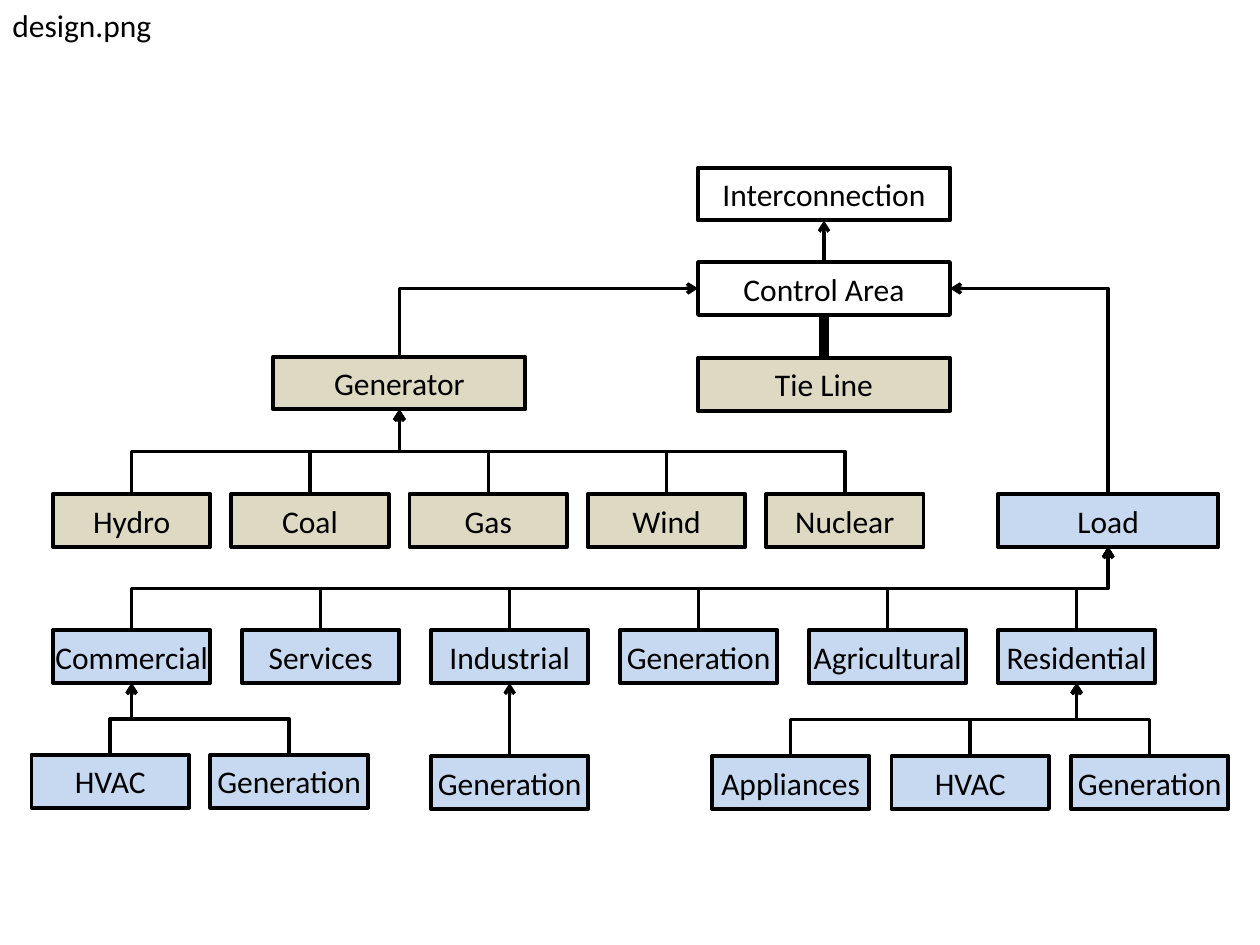
from lxml import etree
from pptx import Presentation
from pptx.dml.color import RGBColor
from pptx.enum.shapes import MSO_CONNECTOR, MSO_SHAPE
from pptx.enum.text import MSO_ANCHOR, MSO_AUTO_SIZE, PP_ALIGN
from pptx.oxml.ns import qn
from pptx.util import Inches, Pt

RECTANGLE = MSO_SHAPE.RECTANGLE
STRAIGHT, ELBOW = MSO_CONNECTOR.STRAIGHT, MSO_CONNECTOR.ELBOW
MIDDLE, CENTER = MSO_ANCHOR.MIDDLE, PP_ALIGN.CENTER
FIT_SHAPE = MSO_AUTO_SIZE.SHAPE_TO_FIT_TEXT
TOP, LEFT, BOTTOM, RIGHT = range(4)

BLACK = RGBColor(0x00, 0x00, 0x00)
TAN = RGBColor(0xDD, 0xD9, 0xC3)
BLUE = RGBColor(0xC6, 0xD9, 0xF1)

deck = Presentation()
deck.slide_width, deck.slide_height = Inches(10), Inches(7.5)
page = deck.slides.add_slide(deck.slide_layouts[6])


def add_box(label, left, top, width, fill=None):
    box = page.shapes.add_shape(
        RECTANGLE, Inches(left), Inches(top), Inches(width), Inches(0.42))
    box.shadow.inherit = False
    if fill is None:
        box.fill.background()
    else:
        box.fill.solid()
        box.fill.fore_color.rgb = fill
    box.line.color.rgb = BLACK
    box.line.width = Pt(2.25)
    frame = box.text_frame
    frame.margin_left = frame.margin_right = 0
    frame.margin_top = frame.margin_bottom = 0
    frame.vertical_anchor = MIDDLE
    frame.word_wrap = False
    frame.text = label
    para = frame.paragraphs[0]
    para.alignment = CENTER
    font = para.runs[0].font
    font.name, font.size, font.color.rgb = "Calibri", Pt(18), BLACK
    return box


def link(child, parent, side=BOTTOM, width=2, arrow=True):
    start_x, start_y = child.left + child.width // 2, child.top
    if side == BOTTOM:
        end_x, end_y = parent.left + parent.width // 2, parent.top + parent.height
    else:
        end_x = parent.left + (parent.width if side == RIGHT else 0)
        end_y = parent.top + parent.height // 2
    straight = start_x == end_x
    line = page.shapes.add_connector(
        STRAIGHT if straight else ELBOW, start_x, start_y, end_x, end_y)
    line.begin_connect(child, TOP)
    line.end_connect(parent, side)
    line.line.color.rgb = BLACK
    line.line.width = Pt(width)
    properties = line._element.spPr
    if arrow:
        etree.SubElement(line.line._get_or_add_ln(), qn("a:tailEnd"), type="arrow")
    etree.SubElement(properties, qn("a:effectLst"))
    if straight:
        return
    run, rise = abs(end_x - start_x), start_y - end_y
    line.left = (start_x + end_x - rise) // 2
    line.top = (start_y + end_y - run) // 2
    line.width, line.height = rise, run
    rightward = end_x > start_x
    frame = properties.find(qn("a:xfrm"))
    frame.set("rot", "5400000" if rightward else "16200000")
    frame.set("flipH", "1" if rightward else "0")
    frame.set("flipV", "1")
    if side != BOTTOM:
        properties.find(qn("a:prstGeom")).set("prst", "bentConnector2")


caption = page.shapes.add_textbox(0, 0, Inches(1.32), Inches(0.4))
caption.text_frame.word_wrap = False
caption.text_frame.auto_size = FIT_SHAPE
caption.text_frame.text = "design.png"
caption_font = caption.text_frame.paragraphs[0].runs[0].font
caption_font.name, caption_font.size = "Calibri", Pt(18)
caption_font.color.rgb = BLACK

interconnection = add_box("Interconnection", 5.54, 1.33, 2)
control_area = add_box("Control Area", 5.54, 2.08, 2)
tie_line = add_box("Tie Line", 5.54, 2.84, 2, TAN)
generator = add_box("Generator", 2.17, 2.83, 2, TAN)
load = add_box("Load", 7.92, 3.92, 1.75, BLUE)

link(control_area, interconnection)
link(tie_line, control_area, width=5.75, arrow=False)
link(generator, control_area, LEFT)
link(load, control_area, RIGHT)

boxes = {"Generator": generator, "Load": load}
families = [
    ("Generator", TAN, 0.42, 3.92, 1.415, ["Hydro", "Coal", "Gas", "Wind", "Nuclear"]),
    ("Load", BLUE, 0.42, 5, 1.5, ["Commercial", "Services", "Industrial",
                                  "Generation", "Agricultural", "Residential"]),
    ("Commercial", BLUE, 0.25, 5.99, 1.42, ["HVAC", "Generation"]),
    ("Industrial", BLUE, 3.42, 6, 0, ["Generation"]),
    ("Residential", BLUE, 5.65, 6, 1.425, ["Appliances", "HVAC", "Generation"]),
]
for parent, fill, left, top, pitch, children in families:
    for index, label in enumerate(children):
        boxes[label] = add_box(label, left + index * pitch, top, 1.25, fill)
        link(boxes[label], boxes[parent])

deck.save("out.pptx")
